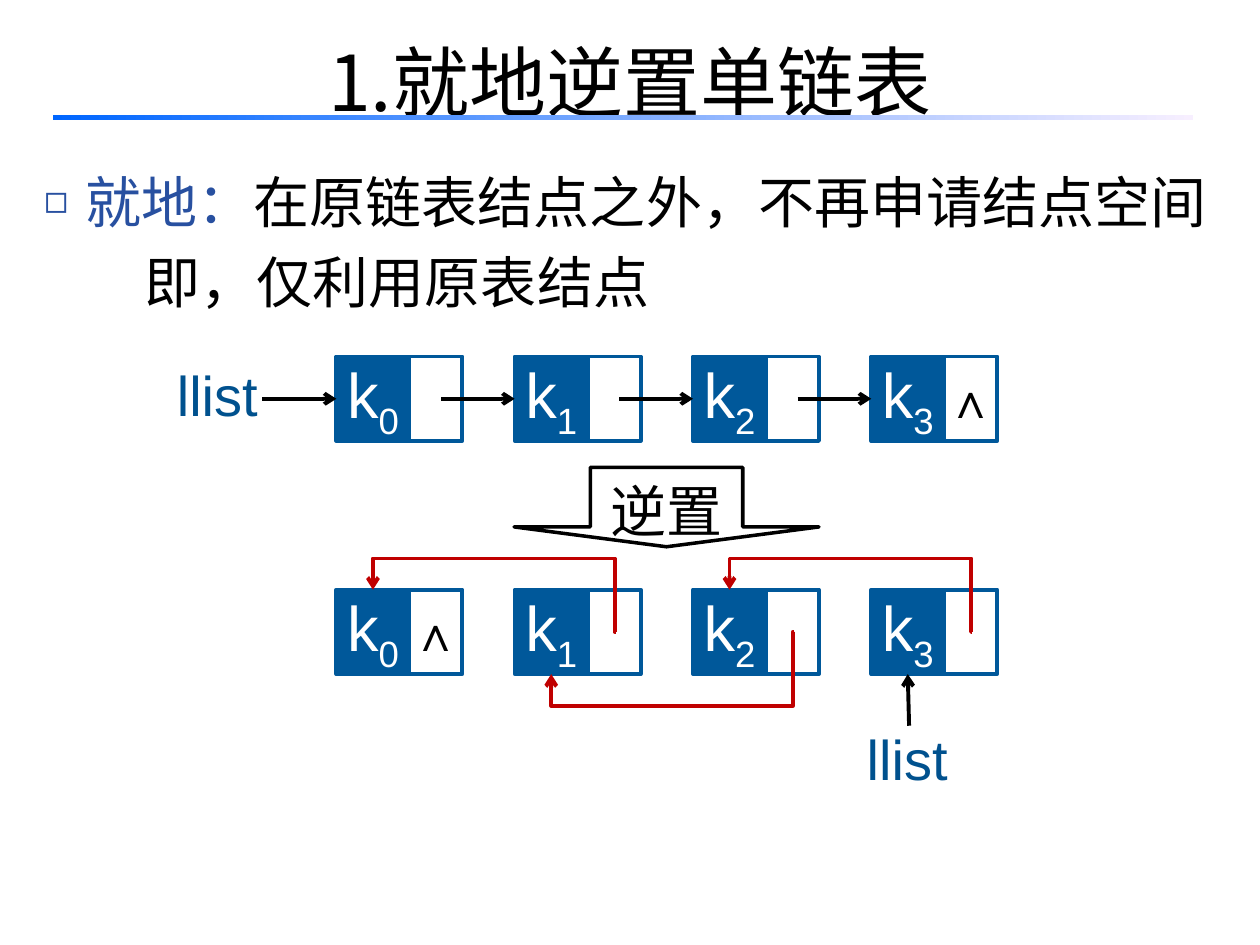
from lxml.etree import SubElement as Sub
from pptx import Presentation
from pptx.dml.color import RGBColor
from pptx.enum.shapes import MSO_CONNECTOR as Link, MSO_SHAPE as Shape
from pptx.enum.text import MSO_ANCHOR as Anchor, MSO_AUTO_SIZE as Auto, PP_ALIGN as Align
from pptx.oxml.ns import qn
from pptx.util import Inches, Pt

HUES = {"ink": "000000", "node": "00589A", "label": "00518E", "term": "2850A0",
        "red": "C00000", "white": "FFFFFF", "bar": "0066FF", "fade": "F7EFFF"}
SANS, HAN = "Arial", "Noto Sans CJK SC"
STEP, KEY, NEXT, GAP = 1.415, 0.58, 0.52, 0.48
UP, DOWN = 1.738, 1.75


def hue(name):
    """Return a named colour."""
    return RGBColor.from_string(HUES[name])


def style(run, size, tint, face=SANS, bold=None):
    """Format a run in both scripts."""
    run.font.size, run.font.name, run.font.bold = Pt(size), face, bold
    run.font.color.rgb = hue(tint)
    Sub(run.font._element, qn("a:ea")).set("typeface", face)


def place(part, box):
    """Move a part to a box given in inches."""
    part.left, part.top, part.width, part.height = map(Inches, box)


def write(part, text, size, tint, face=SANS, space=None, wrap=False, bold=None):
    """Put one centred line of text into a part."""
    frame = part.text_frame
    frame.text = text
    frame.word_wrap, frame.vertical_anchor = wrap, Anchor.MIDDLE
    frame.auto_size = Auto.NONE
    line = frame.paragraphs[0]
    line.alignment, line.line_spacing = Align.CENTER, space
    style(line.runs[0], size, tint, face, bold)
    return line


def block(slide, kind, box, fill=None, edge=None, width=2.25):
    """Draw a preset shape."""
    part = slide.shapes.add_shape(kind, *map(Inches, box))
    part.shadow.inherit = False
    if fill:
        part.fill.solid()
        part.fill.fore_color.rgb = hue(fill)
    else:
        part.fill.background()
    if edge:
        part.line.color.rgb, part.line.width = hue(edge), Pt(width)
    else:
        part.line.fill.background()
    return part


def arrow(slide, ends, tint="ink", kind=Link.STRAIGHT):
    """Draw a line with an open arrowhead."""
    line = slide.shapes.add_connector(kind, *map(Inches, ends))
    line.line.color.rgb, line.line.width = hue(tint), Pt(2.25)
    Sub(line.line._get_or_add_ln(), qn("a:tailEnd")).set("type", "arrow")
    Sub(line._element.spPr, qn("a:effectLst"))
    return line


def bend(slide, box, bulge, below):
    """Draw a red link from the right end of a box back to its left end."""
    x, y, w, h = box
    props = arrow(slide, (x, y, x + w, y + h), "red", Link.ELBOW)._element.spPr
    frame, geom = props.find(qn("a:xfrm")), props.find(qn("a:prstGeom"))
    frame.set("rot", "10800000")
    if below:
        frame.set("flipV", "1")
    geom.set("prst", "bentConnector4")
    guides = geom.find(qn("a:avLst"))
    for name, share in (("adj1", 0.004), ("adj2", bulge)):
        guide = Sub(guides, qn("a:gd"))
        guide.set("name", name)
        guide.set("fmla", f"val {round(share * 100000)}")


def node(slide, box, index, null):
    """Draw a list node with its key and its pointer field."""
    x, y, w, h = box
    field = block(slide, Shape.RECTANGLE, (x + GAP, y, NEXT, h), edge="node")
    if null:
        write(field, "∧", 28, "ink", bold=True)
        field.text_frame.margin_left, field.text_frame.margin_right = Inches(0.1), 0
    key = block(slide, Shape.RECTANGLE, (x, y, KEY, h), "node", "node")
    line = write(key, "k", 36, "white")
    low = line.add_run()
    low.text = str(index)
    style(low, 36, "white")
    low.font._element.set("baseline", "-25000")


def chain(slide, box, null):
    """Draw a row of four nodes and return their left edges."""
    x, y, w, h = box
    edges = [x + i * STEP for i in range(4)]
    for i, left in enumerate(edges):
        node(slide, (left, y, GAP + NEXT, h), i, i == null)
    return edges


def label(slide, box):
    """Write the name of the list head."""
    part = slide.shapes.add_textbox(*map(Inches, box))
    write(part, "llist", 32, "label", space=0.9)


def before(slide, box):
    """Draw the list in its first order."""
    x, y, w, h = box
    edges, mid = chain(slide, box, 3), y + h / 2
    starts = [x - 0.59] + [left + 0.83 for left in edges[:3]]
    for start, end in zip(starts, edges):
        arrow(slide, (start, mid, end, mid))
    label(slide, (x - 1.37, y, 0.85, h))


def after(slide, box):
    """Draw the reversed list."""
    x, y, w, h = box
    edges = chain(slide, box, 0)
    for i in (3, 2, 1):
        below = i == 2
        start = edges[i - 1] + KEY / 2
        top = y + h / 2 if below else y
        bend(slide, (start, top, edges[i] + 0.8 - start, h / 2),
             DOWN if below else UP, below)
    head = edges[3] + KEY / 2
    arrow(slide, (head + 0.01, y + h + 0.41, head, y + h))
    label(slide, (head - 0.43, y + h + 0.41, 0.85, 0.58))


def turn(slide, box):
    """Draw the wide arrow between the two lists."""
    part = block(slide, Shape.DOWN_ARROW, box, edge="ink", width=2)
    part.adjustments[0], part.adjustments[1] = 0.5, 0.25
    write(part, "逆置", 32, "ink", space=1.25, wrap=True)
    frame = part.text_frame
    frame.margin_left = frame.margin_right = 0


def head(slide, box):
    """Set the title and the fading bar under it."""
    x, y, w, h = box
    place(slide.shapes.title, box)
    write(slide.shapes.title, "1.就地逆置单链表", 44, "ink", HAN, 1.25, True)
    bar = block(slide, Shape.RECTANGLE, (x - 0.08, y + 0.99, w + 0.05, 0.04))
    bar.fill.gradient()
    bar.fill.gradient_angle = 0
    for stop, tint in zip(bar.fill.gradient_stops, ("bar", "fade")):
        stop.color.rgb = hue(tint)


def body(slide, box):
    """Set the definition and its second line."""
    part = slide.placeholders[1]
    place(part, box)
    frame = part.text_frame
    frame.text = "就地："
    frame.word_wrap, frame.auto_size = True, Auto.NONE
    first, second = frame.paragraphs[0], frame.add_paragraph()
    first.add_run().text = "在原链表结点之外，不再申请结点空间"
    second.text = "即，仅利用原表结点"
    for line, left, pull, mark in ((first, 0.33, -0.33, "◻"), (second, 0.8, 0, None)):
        line.line_spacing, line.space_before = 1.2, Pt(0)
        props = line._p.get_or_add_pPr()
        props.set("marL", str(Inches(left)))
        props.set("indent", str(Inches(pull)))
        if mark:
            Sub(props, qn("a:buSzPct")).set("val", "70000")
            Sub(props, qn("a:buChar")).set("char", mark)
        else:
            Sub(props, qn("a:buNone"))
        for run in line.runs:
            style(run, 32, "ink", HAN)
    first.runs[0].font.color.rgb = hue("term")


def main():
    """Build and save the slide."""
    deck = Presentation()
    deck.slide_width, deck.slide_height = Inches(10), Inches(7.5)
    slide = deck.slides.add_slide(deck.slide_layouts[1])
    head(slide, (0.5, -0.08, 9, 1.25))
    body(slide, (0.25, 1.17, 9.75, 1.33))
    before(slide, (2.67, 2.83, 5.25, 0.67))
    turn(slide, (4.08, 3.71, 2.42, 0.63))
    after(slide, (2.67, 4.68, 5.25, 0.67))
    deck.save("out.pptx")


if __name__ == "__main__":
    main()
